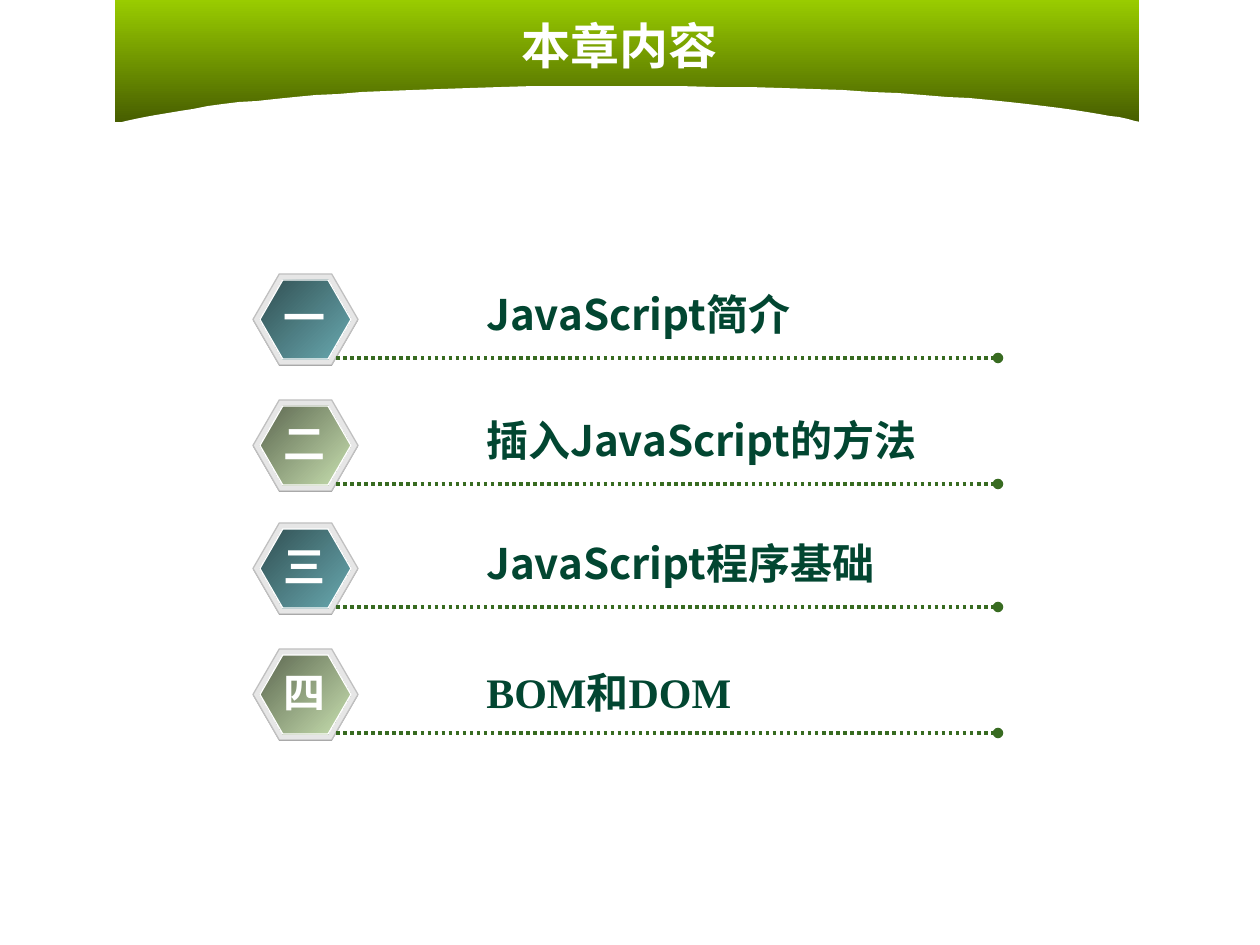
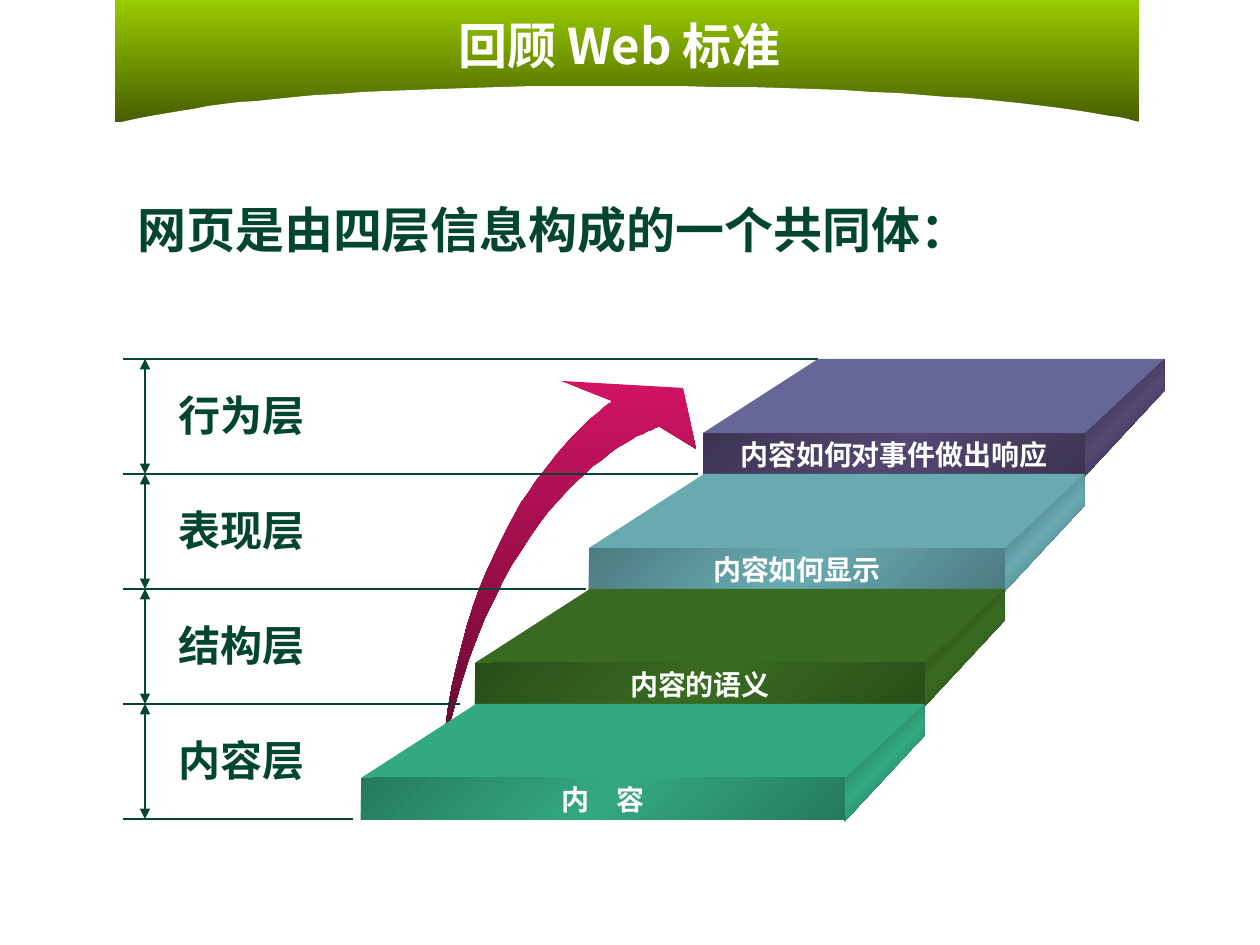
from copy import deepcopy

from lxml.etree import SubElement
from pptx import Presentation
from pptx.dml.color import RGBColor
from pptx.enum.dml import MSO_LINE
from pptx.enum.shapes import MSO_CONNECTOR, MSO_SHAPE
from pptx.enum.text import MSO_ANCHOR, PP_ALIGN
from pptx.oxml.ns import qn
from pptx.util import Pt

PX = 914400 / 126
PAGE_WIDTH, PAGE_HEIGHT = 1260, 945
CJK = "Noto Sans CJK SC"
INK, WHITE = "024631", "FFFFFF"
BAND_COLORS = ("99CC00", "475E00")
TEAL_BADGE = ("314F52", "69AAB1")
SAGE_BADGE = ("5D6851", "C8E0B0")

CHAPTERS = [
    # top, numeral, title, font, title offset, badge colours
    (274, "一", "JavaScript简介", CJK, 8, TEAL_BADGE),
    (400, "二", "插入JavaScript的方法", CJK, 8, SAGE_BADGE),
    (523, "三", "JavaScript程序基础", CJK, 8, TEAL_BADGE),
    (649, "四", "BOM和DOM", "Times New Roman", 11, SAGE_BADGE),
]

LAYERS = [
    # label, caption, end of rule, top colour, front edge colour, side edge colour
    ("行为层", "内容如何对事件做出响应", 818, "666699", "534771", "3C3452", "262134"),
    ("表现层", "内容如何显示", 698, "69AAB1", "69AAB1", "4C7B80", "314F52"),
    ("结构层", "内容的语义", 586, "386B21", "386B21", "294E18", "1A320F"),
    ("内容层", "内　容", 460, "33A97F", "33A97F", "257B5C", "184E3B"),
]


def px(length):
    return round(length * PX)


def rgb(color):
    return RGBColor.from_string(color)


def paint(shape, fill, angle=90, line=None):
    """Fill with one colour or, given a tuple, with evenly spread gradient stops."""
    shape.shadow.inherit = False
    if isinstance(fill, str):
        shape.fill.solid()
        shape.fill.fore_color.rgb = rgb(fill)
    else:
        shape.fill.gradient()
        shape.fill.gradient_angle = 360 - angle
        stops = shape._element.spPr.find(qn("a:gradFill")).find(qn("a:gsLst"))
        while len(stops) < len(fill):
            stops.append(deepcopy(stops[0]))
        for index, (stop, color) in enumerate(zip(shape.fill.gradient_stops, fill)):
            stop.color.rgb = rgb(color)
            stop.position = index / (len(fill) - 1)
    if line:
        shape.line.color.rgb = rgb(line)
        shape.line.width = Pt(0.75)
    else:
        shape.line.fill.background()
    return shape


def add_preset(page, kind, left, top, width, height, fill, **options):
    shape = page.shapes.add_shape(kind, px(left), px(top), px(width), px(height))
    return paint(shape, fill, **options)


def add_outline(page, points, fill, **options):
    builder = page.shapes.build_freeform(*points[0], scale=PX)
    builder.add_line_segments(points[1:], close=True)
    return paint(builder.convert_to_shape(), fill, **options)


def curve(start, first, second, end, steps=30):
    """Points along a cubic Bezier curve."""
    points = []
    for step in range(steps + 1):
        t = step / steps
        weights = ((1 - t) ** 3, 3 * t * (1 - t) ** 2, 3 * t * t * (1 - t), t ** 3)
        controls = zip(start, first, second, end), weights
        points.append(tuple(sum(w * c for w, c in zip(controls[1], axis))
                            for axis in zip(start, first, second, end)))
    return points


def write(shape, text, size=24, color=INK, font=CJK, align=PP_ALIGN.LEFT,
          anchor=MSO_ANCHOR.TOP, wrap=False):
    frame = shape.text_frame
    frame.word_wrap = wrap
    frame.vertical_anchor = anchor
    para = frame.paragraphs[0]
    para.alignment = align
    span = para.add_run()
    span.text = text
    span.font.size = Pt(size)
    span.font.bold = True
    span.font.color.rgb = rgb(color)
    span.font.name = font
    SubElement(span._r.get_or_add_rPr(), qn("a:ea"), typeface=CJK)


def add_text(page, left, top, width, height, text, **options):
    box = page.shapes.add_textbox(px(left), px(top), px(width), px(height))
    write(box, text, **options)


def add_line(page, start, end, color=INK, width=0.75, dash=None, head=None, tail=None):
    line = page.shapes.add_connector(MSO_CONNECTOR.STRAIGHT, *map(px, start + end))
    line.line.color.rgb = rgb(color)
    line.line.width = Pt(width)
    if dash:
        line.line.dash_style = dash
    for tag, kind in (("a:headEnd", head), ("a:tailEnd", tail)):
        if kind:
            SubElement(line.get_or_add_ln(), qn(tag), type=kind)
    SubElement(line._element.spPr, qn("a:effectLst"))


def add_titled_page(deck, title, font):
    page = deck.slides.add_slide(deck.slide_layouts[6])
    add_preset(page, MSO_SHAPE.RECTANGLE, 115, 0, 1024, 122, BAND_COLORS)
    arch = (curve((84, 131), (139, 117), (257, 84), (641, 86))
            + curve((641, 86), (1027, 87), (1158, 125), (1158, 127)))
    add_outline(page, arch, WHITE)
    add_text(page, 42, 6, 1155, 78, title, size=28, color=WHITE, font=font,
             align=PP_ALIGN.CENTER, anchor=MSO_ANCHOR.MIDDLE, wrap=True)
    return page


def add_hexagon(page, left, top, width, height, fill, **options):
    hexagon = add_preset(page, MSO_SHAPE.HEXAGON, left, top, width, height, fill, **options)
    hexagon.adjustments[0] = 0.289
    hexagon.adjustments[1] = 1.155


def add_chapter_row(page, left, top, numeral, title, font, title_offset, colors):
    add_hexagon(page, left, top + 1, 105, 91, "808080")
    add_hexagon(page, left, top, 105, 91, "E6E6E6", line="C0C0C0")
    add_hexagon(page, left + 7, top + 6, 91, 79, colors, angle=45, line=WHITE)
    add_line(page, (left + 83, top + 84), (left + 745, top + 84), color="386B21",
             width=2, dash=MSO_LINE.ROUND_DOT, tail="oval")
    add_text(page, left + 221, top + title_offset, 504, 63, title, font=font, wrap=True)
    add_text(page, left + 18, top + 11, 67, 63, numeral, color=WHITE,
             align=PP_ALIGN.CENTER)


def add_rising_arrow(page):
    tail = (442, 756)
    outer = curve(tail, (467, 509), (592, 417), (612, 401))
    head = [(561, 381), (683, 388), (696, 449)]
    inner = curve((660, 427), (645, 430), (499, 486), tail)
    add_outline(page, outer + head + inner[:-1], ("D11364", "61092E"))


def add_slab(page, left, top, width, caption, top_color, middle, front_edge, side_edge):
    """A block seen from the front left; left and width are those of its front."""
    right, front_top = left + width, top + 74
    back_left, back_right = left + 115, right + 79
    add_outline(page, [(back_right, top + 32), (right, top + 117), (right, front_top),
                       (back_right, top)], (side_edge, middle, side_edge), angle=45)
    add_outline(page, [(right, front_top), (left, front_top), (back_left, top),
                       (back_right, top)], top_color)
    front = add_preset(page, MSO_SHAPE.RECTANGLE, left, front_top, width, 42,
                       (front_edge, middle, front_edge), angle=45)
    write(front, caption, size=16, color=WHITE, font="DejaVu Sans",
          align=PP_ALIGN.CENTER, anchor=MSO_ANCHOR.MIDDLE)


def add_layer_stack(page, left, top):
    pitch = 115
    for index, (label, caption, rule_end, *colors) in enumerate(LAYERS):
        level = top + index * pitch
        add_line(page, (rule_end, level), (left, level))
        add_line(page, (left + 22, level), (left + 22, level + pitch),
                 head="triangle", tail="triangle")
        add_text(page, left + 43, level + 24, 151, 63, label, font="DejaVu Sans")
        add_slab(page, left + 580 - 114 * index, level, 382 + 34 * index, caption, *colors)
    bottom = top + len(LAYERS) * pitch
    add_line(page, (left + 230, bottom), (left, bottom))


def build_contents(deck):
    page = add_titled_page(deck, "本章内容", "Arial")
    for top, *details in CHAPTERS:
        add_chapter_row(page, 253, top, *details)


def build_web_layers(deck):
    page = add_titled_page(deck, "回顾 Web 标准", CJK)
    add_rising_arrow(page)
    add_layer_stack(page, 123, 359)
    add_text(page, 125, 193, 857, 72, "网页是由四层信息构成的一个共同体：",
             size=28, font="Arial")


def main():
    deck = Presentation()
    deck.slide_width, deck.slide_height = px(PAGE_WIDTH), px(PAGE_HEIGHT)
    build_contents(deck)
    build_web_layers(deck)
    deck.save("out.pptx")


if __name__ == "__main__":
    main()
